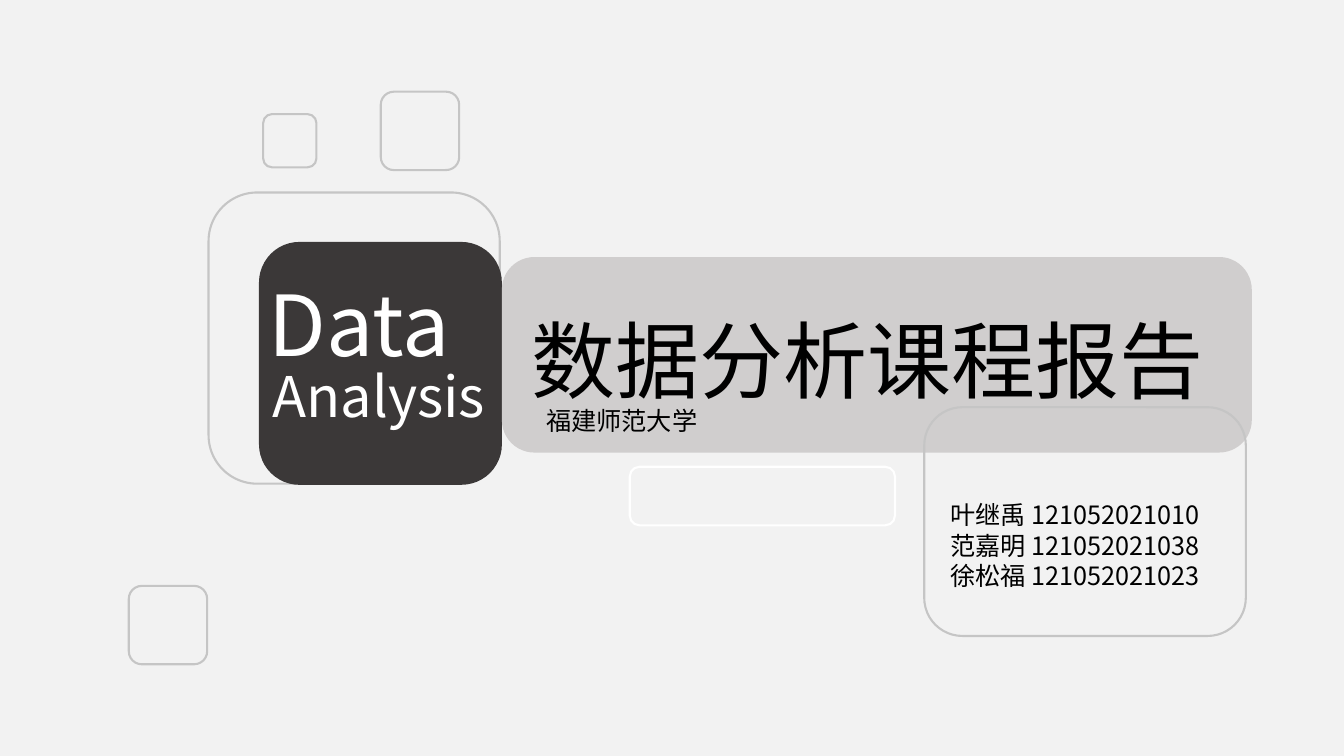
from dataclasses import dataclass

from lxml import etree
from pptx import Presentation
from pptx.dml.color import RGBColor
from pptx.enum.shapes import MSO_SHAPE
from pptx.enum.text import MSO_ANCHOR, MSO_AUTO_SIZE, PP_ALIGN
from pptx.oxml.ns import qn
from pptx.util import Pt

ROUNDED = MSO_SHAPE.ROUNDED_RECTANGLE
TOP = MSO_ANCHOR.TOP
LEFT = PP_ALIGN.LEFT
FIXED = MSO_AUTO_SIZE.NONE
TITLE_ONLY = 5


@dataclass(frozen=True)
class Theme:
    font: str = "Noto Sans CJK SC"
    background: str = "F2F2F2"
    outline: str = "C5C5C5"
    badge: str = "3B3838"
    band: str = "D0CECE"
    white: str = "FFFFFF"
    black: str = "000000"
    display: float = 60
    heading: float = 40
    body: float = 18
    stroke: float = 1.5
    inset: float = 7.2
    leading: float = 1.2


@dataclass(frozen=True)
class Box:
    left: float
    top: float
    width: float
    height: float

    def inner(self, left, top, width, height):
        return Box(self.left + left, self.top + top, width, height)

    def lengths(self):
        return Pt(self.left), Pt(self.top), Pt(self.width), Pt(self.height)


THEME = Theme()


def add_rounded(slide, box, fill=None, line=None):
    shape = slide.shapes.add_shape(ROUNDED, *box.lengths())
    shape.shadow.inherit = False
    if fill:
        shape.fill.solid()
        shape.fill.fore_color.rgb = RGBColor.from_string(fill)
    else:
        shape.fill.background()
    if line:
        shape.line.color.rgb = RGBColor.from_string(line)
        shape.line.width = Pt(THEME.stroke)
    else:
        shape.line.fill.background()
    return shape


def write_text(shape, text, size, color):
    frame = shape.text_frame
    frame.text = text
    frame.word_wrap = True
    frame.auto_size = FIXED
    frame.vertical_anchor = TOP
    frame.margin_left = frame.margin_right = Pt(THEME.inset)
    frame.margin_top = Pt(3.6 + 0.07 * size)
    frame.margin_bottom = Pt(0)
    for paragraph in frame.paragraphs:
        paragraph.alignment = LEFT
        paragraph.line_spacing = Pt(size * THEME.leading)
        for run in paragraph.runs:
            run.font.name = THEME.font
            run.font.size = Pt(size)
            run.font.color.rgb = RGBColor.from_string(color)
            properties = run._r.get_or_add_rPr()
            etree.SubElement(properties, qn("a:ea"), typeface=THEME.font)


def add_text(slide, box, text, size, color):
    write_text(slide.shapes.add_textbox(*box.lengths()), text, size, color)


def add_outlined_squares(slide, box):
    squares = [(57, 72, 208), (96, 16, 38), (0, 353, 56), (180, 0, 56)]
    for left, top, side in squares:
        add_rounded(slide, box.inner(left, top, side, side), line=THEME.outline)


def add_badge(slide, box):
    add_rounded(slide, box, fill=THEME.badge)
    add_text(slide, box.inner(0, 14.4, 153, 80), "Data", THEME.display, THEME.white)
    add_text(slide, box.inner(2.6, 79.2, 179, 60), "Analysis", THEME.heading, THEME.white)


def add_title_band(slide, box):
    band = add_rounded(slide, box, fill=THEME.band)
    title = slide.shapes.title
    band.element.addnext(title.element)
    title.left, title.top, title.width, title.height = box.inner(14, 29, 518, 80).lengths()
    write_text(title, "数据分析课程报告", THEME.display, THEME.black)
    add_rounded(slide, box.inner(91.4, 149.8, 189.4, 41.8), line=THEME.white)
    add_text(slide, box.inner(24.5, 100.8, 236, 29), "福建师范大学", THEME.body, THEME.black)


def add_members(slide, box):
    add_rounded(slide, box, line=THEME.outline)
    members = ["叶继禹 121052021010", "范嘉明 121052021038", "徐松福 121052021023"]
    names = box.inner(11.5, 61.2, 206, 73)
    add_text(slide, names, "\n".join(members), THEME.body, THEME.black)


def add_cover(presentation):
    slide = presentation.slides.add_slide(presentation.slide_layouts[TITLE_ONLY])
    slide.background.fill.solid()
    slide.background.fill.fore_color.rgb = RGBColor.from_string(THEME.background)
    add_outlined_squares(slide, Box(92, 65.5, 265, 409))
    add_badge(slide, Box(185, 172.8, 173.5, 173.5))
    add_title_band(slide, Box(358.5, 183.6, 535.7, 139.7))
    add_members(slide, Box(660.2, 290.9, 229.7, 163.4))


def main():
    presentation = Presentation()
    presentation.slide_width = Pt(960)
    presentation.slide_height = Pt(540)
    add_cover(presentation)
    presentation.save("out.pptx")


if __name__ == "__main__":
    main()
